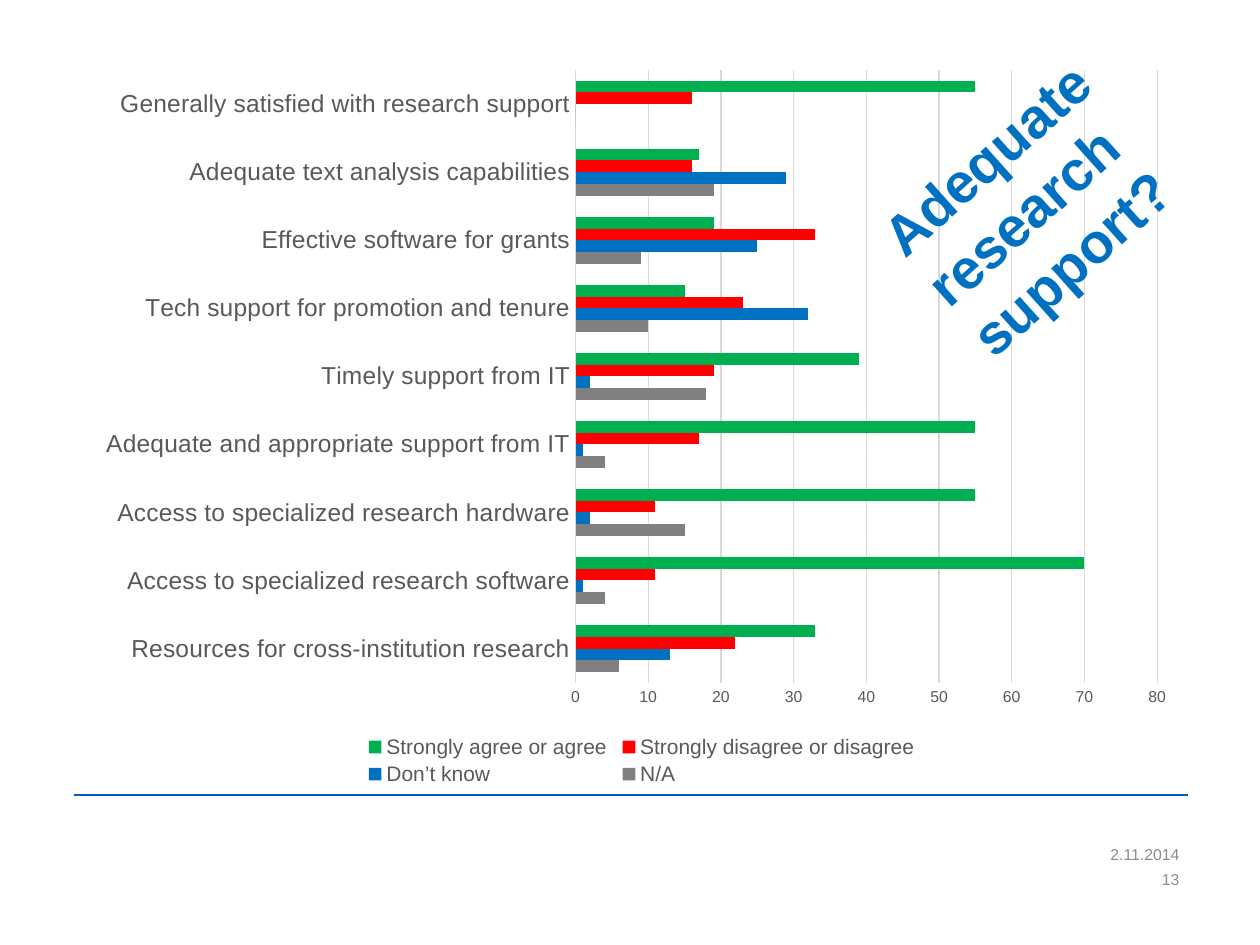
from dataclasses import dataclass

from lxml.etree import SubElement
from pptx import Presentation
from pptx.chart.data import CategoryChartData
from pptx.dml.color import RGBColor
from pptx.enum.chart import XL_CHART_TYPE, XL_LEGEND_POSITION, XL_TICK_MARK
from pptx.enum.shapes import MSO_CONNECTOR
from pptx.enum.text import MSO_ANCHOR, MSO_AUTO_SIZE, PP_ALIGN
from pptx.oxml import parse_xml
from pptx.oxml.ns import nsdecls, qn
from pptx.util import Inches, Pt


@dataclass(frozen=True)
class Theme:
    """Colours, font and type sizes of the slide."""

    font: str = "Arial"
    heading: str = "0070C0"
    rule: str = "005EB8"
    footer: str = "8C8C8C"
    label: str = "595959"
    grid: str = "D9D9D9"
    agree: str = "00B050"
    disagree: str = "FF0000"
    unknown: str = "0070C0"
    not_applicable: str = "808080"
    heading_size: int = 32
    category_size: int = 14
    legend_size: int = 12
    small_size: int = 9


THEME = Theme()

STATEMENTS = [
    "Resources for cross-institution research",
    "Access to specialized research software",
    "Access to specialized research hardware",
    "Adequate and appropriate support from IT",
    "Timely support from IT",
    "Tech support for promotion and tenure",
    "Effective software for grants",
    "Adequate text analysis capabilities",
    "Generally satisfied with research support",
]

ANSWERS = [
    ("N/A", THEME.not_applicable, [6, 4, 15, 4, 18, 10, 9, 19, 0]),
    ("Don’t know", THEME.unknown, [13, 1, 2, 1, 2, 32, 25, 29, 0]),
    ("Strongly disagree or disagree", THEME.disagree, [22, 11, 11, 17, 19, 23, 33, 16, 16]),
    ("Strongly agree or agree", THEME.agree, [33, 70, 55, 55, 39, 15, 19, 17, 55]),
]


class SlideBuilder:
    """Adds styled elements to the current slide."""

    def __init__(self, slide, theme):
        self.slide = slide
        self.theme = theme

    def style(self, font, size, color, bold=False):
        """Apply the theme font with a size and colour."""
        font.name = self.theme.font
        font.size = Pt(size)
        font.bold = bold
        font.color.rgb = RGBColor.from_string(color)

    def rule(self, left, right, y):
        """Draw a thin horizontal rule."""
        rule = self.slide.shapes.add_connector(
            MSO_CONNECTOR.STRAIGHT, Inches(left), Inches(y), Inches(right), Inches(y)
        )
        rule.line.color.rgb = RGBColor.from_string(self.theme.rule)
        rule.line.width = Pt(1)
        SubElement(rule._element.spPr, qn("a:effectLst"))

    def footer(self, text, top, height):
        """Add a right-aligned footer entry."""
        box = self.slide.shapes.add_textbox(
            Inches(5.4), Inches(top), Inches(3.96), Inches(height)
        )
        frame = box.text_frame
        frame.word_wrap = True
        frame.vertical_anchor = MSO_ANCHOR.MIDDLE
        frame.margin_right = 0
        frame.text = text
        entry = frame.paragraphs[0]
        entry.alignment = PP_ALIGN.RIGHT
        self.style(entry.font, self.theme.small_size, self.theme.footer)

    def title(self, lines, left, top, width, height, rotation):
        """Place the rotated title above all other elements."""
        title = self.slide.shapes.title
        title.left, title.top = Inches(left), Inches(top)
        title.width, title.height = Inches(width), Inches(height)
        title.rotation = rotation
        frame = title.text_frame
        frame.margin_left = frame.margin_right = 0
        frame.margin_top = frame.margin_bottom = 0
        frame.vertical_anchor = MSO_ANCHOR.TOP
        frame.word_wrap = False
        frame.auto_size = MSO_AUTO_SIZE.SHAPE_TO_FIT_TEXT
        frame.text = "\n".join(lines)
        for line in frame.paragraphs:
            line.alignment = PP_ALIGN.LEFT
            self.style(line.font, self.theme.heading_size, self.theme.heading, True)
        self.slide.shapes._spTree.append(title._element)

    def layout(self, x, y, width, height, inner=False):
        """Return a manual chart layout in fractions of the chart."""
        target = '<c:layoutTarget val="inner"/>' if inner else ""
        return parse_xml(
            f'<c:layout {nsdecls("c")}><c:manualLayout>{target}'
            '<c:xMode val="edge"/><c:yMode val="edge"/>'
            f'<c:x val="{x}"/><c:y val="{y}"/><c:w val="{width}"/><c:h val="{height}"/>'
            "</c:manualLayout></c:layout>"
        )

    def bar_chart(self, categories, answers, left, top, width, height):
        """Add the clustered bar chart with its axes and legend."""
        data = CategoryChartData()
        data.categories = categories
        for name, _, values in answers:
            data.add_series(name, values)
        chart = self.slide.shapes.add_chart(
            XL_CHART_TYPE.BAR_CLUSTERED,
            Inches(left), Inches(top), Inches(width), Inches(height), data,
        ).chart
        chart.has_title = False
        self.style(chart.font, self.theme.small_size, self.theme.label)

        bars = chart.plots[0]
        bars.gap_width = 182
        bars.vary_by_categories = False
        for series, (_, color, _) in zip(bars.series, answers):
            series.format.fill.solid()
            series.format.fill.fore_color.rgb = RGBColor.from_string(color)

        grid = RGBColor.from_string(self.theme.grid)
        statements, percent = chart.category_axis, chart.value_axis
        for axis, size in (
            (statements, self.theme.category_size),
            (percent, self.theme.small_size),
        ):
            axis.major_tick_mark = axis.minor_tick_mark = XL_TICK_MARK.NONE
            self.style(axis.tick_labels.font, size, self.theme.label)
        statements.format.line.color.rgb = grid
        statements.format.line.width = Pt(0.75)
        percent.minimum_scale, percent.maximum_scale, percent.major_unit = 0, 80, 10
        percent.format.line.fill.background()
        percent.major_gridlines.format.line.color.rgb = grid
        percent.major_gridlines.format.line.width = Pt(0.75)

        chart.has_legend = True
        legend = chart.legend
        legend.position = XL_LEGEND_POSITION.BOTTOM
        legend.include_in_layout = False
        self.style(legend.font, self.theme.legend_size, self.theme.label)

        plot_area = chart._chartSpace.chart.plotArea
        for old in plot_area.findall(qn("c:layout")):
            plot_area.remove(old)
        plot_area.insert(0, self.layout(0.445, 0.02, 0.527, 0.834, inner=True))
        for old in legend._element.findall(qn("c:layout")):
            legend._element.remove(old)
        legend._element.find(qn("c:legendPos")).addnext(
            self.layout(0.25, 0.92, 0.51, 0.08)
        )


def main():
    """Build and save the slide."""
    deck = Presentation()
    deck.slide_width, deck.slide_height = Inches(10), Inches(7.5)
    builder = SlideBuilder(deck.slides.add_slide(deck.slide_layouts[5]), THEME)
    builder.rule(0.59, 9.43, 6.31)
    builder.footer("2.11.2014", 6.68, 0.2)
    builder.footer("13", 6.89, 0.18)
    builder.bar_chart(STATEMENTS, ANSWERS, 0.67, 0.44, 8.76, 5.83)
    builder.title(["Adequate", "research", "support?"], 7.15, 0.8, 2.17, 1.62, 318.2)
    deck.save("out.pptx")


if __name__ == "__main__":
    main()
